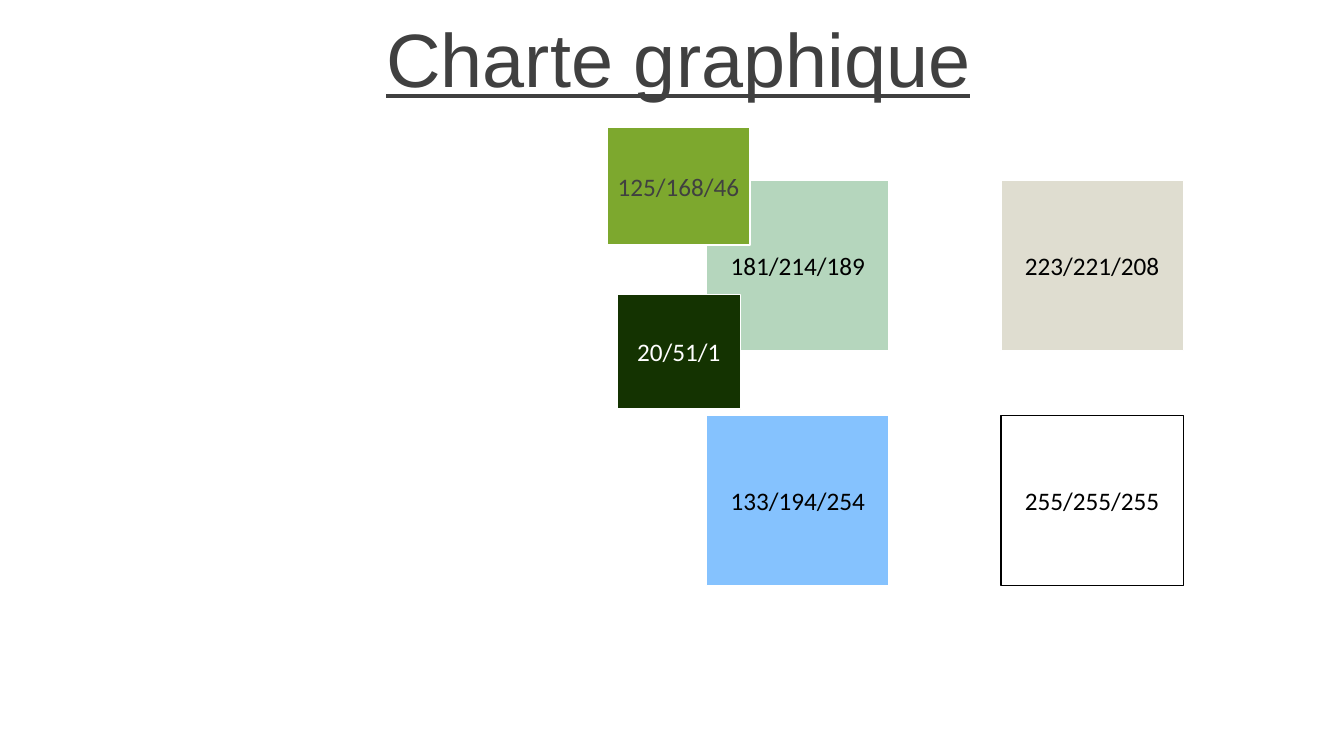
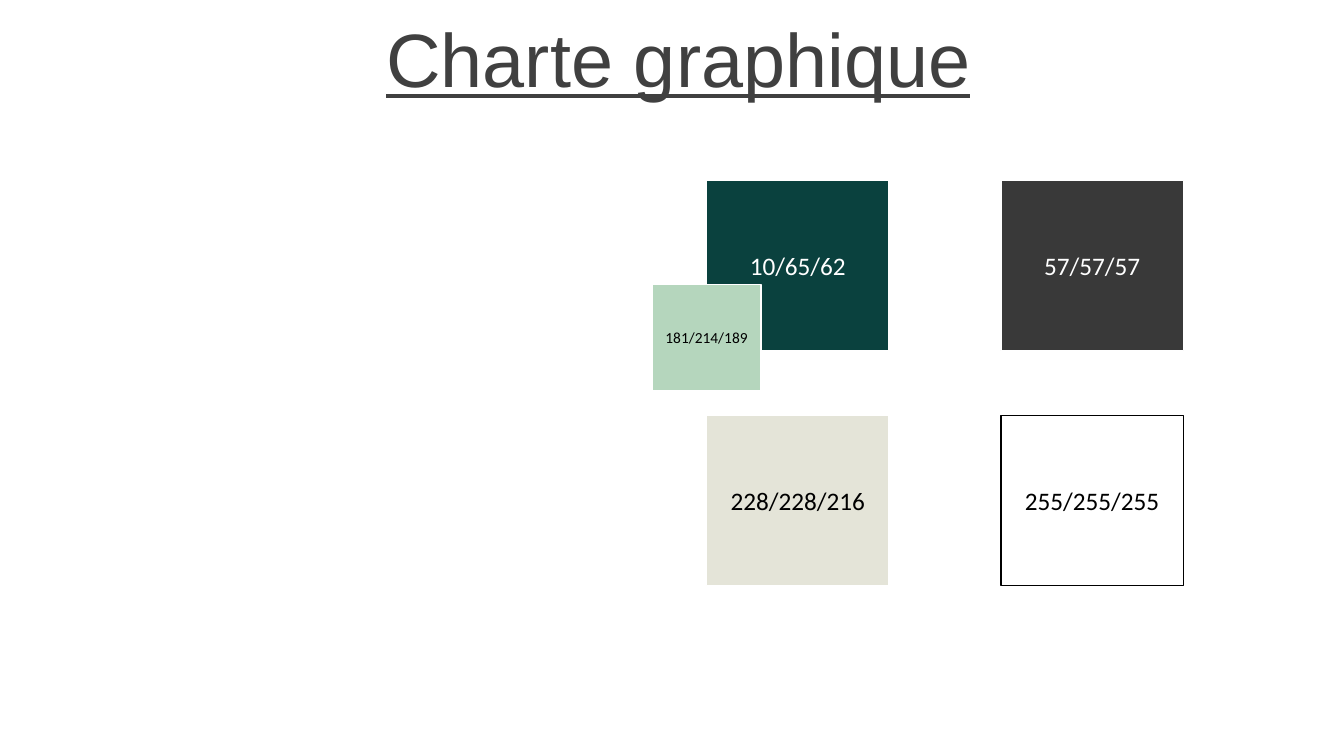
"""Build two colour-palette slides."""
from dataclasses import dataclass

from pptx import Presentation
from pptx.dml.color import RGBColor
from pptx.enum.shapes import MSO_SHAPE
from pptx.enum.text import MSO_ANCHOR, PP_ALIGN
from pptx.util import Pt

RECTANGLE = MSO_SHAPE.RECTANGLE
MIDDLE, BOTTOM = MSO_ANCHOR.MIDDLE, MSO_ANCHOR.BOTTOM
CENTER = PP_ALIGN.CENTER


@dataclass(frozen=True)
class Theme:
    """Colours, fonts and type sizes shared by the slides."""

    white: RGBColor = RGBColor(255, 255, 255)
    black: RGBColor = RGBColor(0, 0, 0)
    grey: RGBColor = RGBColor(64, 64, 64)
    title_font: str = "Arial"
    label_font: str = "Calibri"
    title_size: int = 54
    label_size: int = 18
    small_size: int = 11


THEME = Theme()
SLIDE_SIZE = (960, 540)
TITLE = "Charte graphique"
TITLE_BOX = (124.56, 7.92, 720, 69.84)
GRID_ORIGIN = (504.72, 128.88)
GRID_STEP = (210.24, 167.76)
GRID_CELL = (130.32, 121.68)
COLUMNS = 2
SIDE_MARGIN = 3.6


@dataclass(frozen=True)
class Swatch:
    """A colour named by its red/green/blue label, with its text style."""

    label: str
    ink: RGBColor = THEME.black
    outline: RGBColor = THEME.white
    size: int = THEME.label_size

    @property
    def fill(self):
        """Return the colour that the label spells out."""
        return RGBColor(*map(int, self.label.split("/")))


PAPER = Swatch("255/255/255", outline=THEME.black)
PALETTES = (
    {
        "grid": (Swatch("181/214/189"), Swatch("223/221/208"), Swatch("133/194/254"), PAPER),
        "accents": (
            (Swatch("20/51/1", THEME.white), (440.64, 210.24, 88.56, 82.08)),
            (Swatch("125/168/46", THEME.grey), (433.44, 90.72, 102.24, 84.24)),
        ),
    },
    {
        "grid": (
            Swatch("10/65/62", THEME.white),
            Swatch("57/57/57", THEME.white),
            Swatch("228/228/216"),
            PAPER,
        ),
        "accents": (
            (Swatch("181/214/189", size=THEME.small_size), (465.84, 203.04, 77.76, 76.32)),
        ),
    },
)


def write_text(shape, text, font_name, size, color, anchor):
    """Put one centred, formatted paragraph in a shape and return its run."""
    frame = shape.text_frame
    frame.text = text
    frame.word_wrap = True
    frame.vertical_anchor = anchor
    paragraph = frame.paragraphs[0]
    paragraph.alignment = CENTER
    run = paragraph.runs[0]
    run.font.name = font_name
    run.font.size = Pt(size)
    run.font.color.rgb = color
    return run


def add_title(slide):
    """Add the underlined slide title."""
    shape = slide.shapes.add_textbox(*map(Pt, TITLE_BOX))
    run = write_text(shape, TITLE, THEME.title_font, THEME.title_size, THEME.grey, BOTTOM)
    run.font.underline = True
    shape.text_frame.paragraphs[0].line_spacing = 0.9


def add_swatch(slide, swatch, box):
    """Add a rectangle filled with the colour written on it."""
    shape = slide.shapes.add_shape(RECTANGLE, *map(Pt, box))
    shape.shadow.inherit = False
    shape.fill.solid()
    shape.fill.fore_color.rgb = swatch.fill
    shape.line.color.rgb = swatch.outline
    shape.line.width = Pt(1)
    write_text(shape, swatch.label, THEME.label_font, swatch.size, swatch.ink, MIDDLE)
    shape.text_frame.margin_left = shape.text_frame.margin_right = Pt(SIDE_MARGIN)


def add_grid(slide, swatches):
    """Lay out the main swatches row by row."""
    for index, swatch in enumerate(swatches):
        row, column = divmod(index, COLUMNS)
        left = GRID_ORIGIN[0] + column * GRID_STEP[0]
        top = GRID_ORIGIN[1] + row * GRID_STEP[1]
        add_swatch(slide, swatch, (left, top, *GRID_CELL))


def main():
    """Build and save the presentation."""
    presentation = Presentation()
    presentation.slide_width, presentation.slide_height = map(Pt, SLIDE_SIZE)
    blank_layout = presentation.slide_layouts[6]
    for palette in PALETTES:
        slide = presentation.slides.add_slide(blank_layout)
        add_title(slide)
        add_grid(slide, palette["grid"])
        for swatch, box in palette["accents"]:
            add_swatch(slide, swatch, box)
    presentation.save("out.pptx")


if __name__ == "__main__":
    main()
